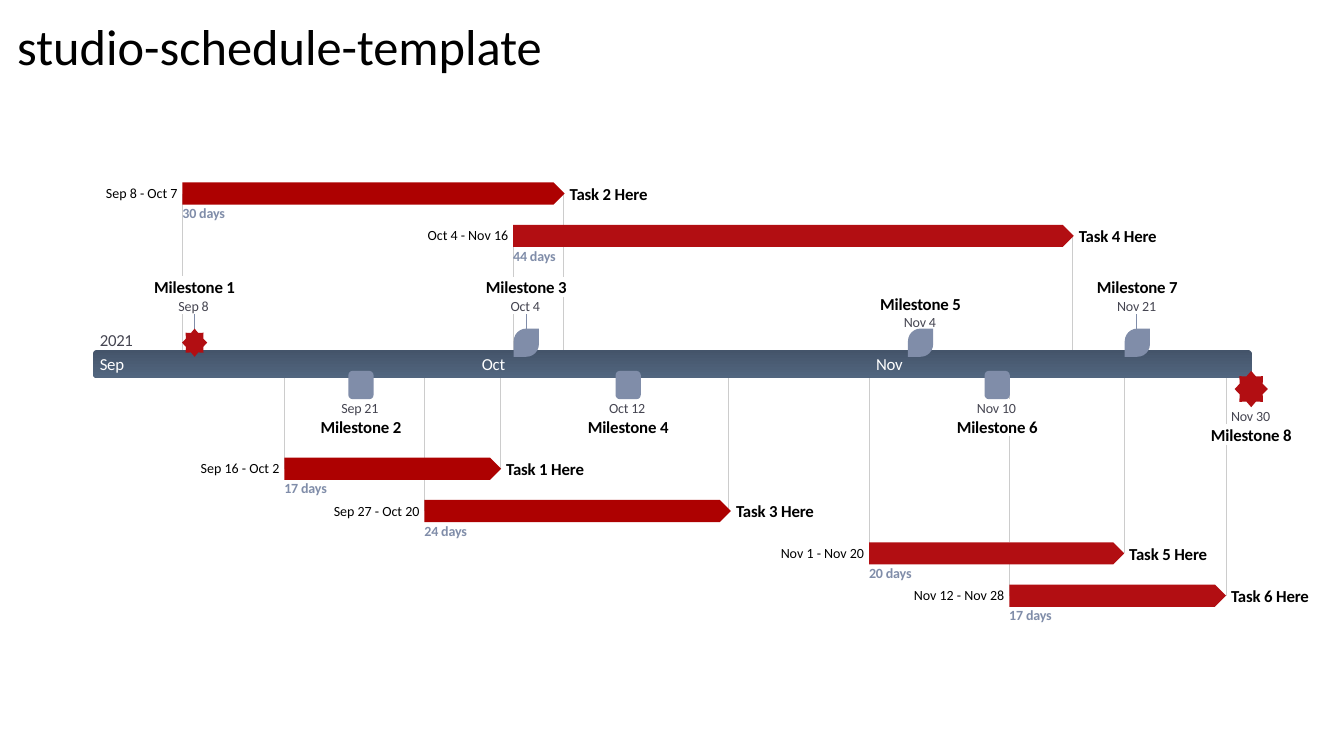
from pptx import Presentation
from pptx.dml.color import RGBColor
from pptx.enum.shapes import MSO_CONNECTOR, MSO_SHAPE
from pptx.enum.text import MSO_ANCHOR, MSO_AUTO_SIZE, PP_ALIGN
from pptx.util import Inches, Pt
from lxml import etree

BLACK, WHITE, GREY, SLATE = "000000", "FFFFFF", "454551", "808DA9"
RED, DARK, GUIDE = "B20E12", "AD0101", "CCCCCC"
BAND_TOP, BAND_END = 3.47, 3.75

# x, then the top and bottom of each visible piece
GUIDES = [
    (12.16, [(4.41, 5.91), (BAND_END, 4.21)]),
    (10.01, [(5.6, 5.91), (4.33, 5.38), (BAND_END, 3.96)]),
    (11.15, [(BAND_END, 5.49)]),
    (8.62, [(BAND_END, 5.49)]),
    (7.23, [(BAND_END, 5.07)]),
    (4.21, [(4.76, 5.07), (BAND_END, 4.54)]),
    (4.96, [(BAND_END, 4.65)]),
    (2.82, [(BAND_END, 4.65)]),
    (10.64, [(2.34, BAND_TOP)]),
    (5.09, [(3.12, BAND_TOP), (2.34, 2.75)]),
    (5.59, [(2.95, BAND_TOP), (2.45, 2.75), (1.92, 2.23)]),
    (1.81, [(3.12, BAND_TOP), (1.92, 2.74)]),
]
MONTHS = [("Sep", 0.99), ("Oct", 4.78), ("Nov", 8.69)]

# name, dates, width of dates, days, left, width, colour
UPPER = [
    ("Task 2 Here", "Sep 8 - Oct 7", 0.72, "30 days", 1.81, 3.79, DARK),
    ("Task 4 Here", "Oct 4 - Nov 16", 0.81, "44 days", 5.09, 5.56, RED),
]
LOWER = [
    ("Task 1 Here", "Sep 16 - Oct 2", 0.79, "17 days", 2.82, 2.15, DARK),
    ("Task 3 Here", "Sep 27 - Oct 20", 0.86, "24 days", 4.21, 3.04, DARK),
    ("Task 5 Here", "Nov 1 - Nov 20", 0.83, "20 days", 8.62, 2.53, RED),
    ("Task 6 Here", "Nov 12 - Nov 28", 0.9, "17 days", 10.01, 2.15, RED),
]

STAR, LEAF, BLOCK = (MSO_SHAPE.STAR_8_POINT,
                     MSO_SHAPE.ROUND_2_DIAG_RECTANGLE,
                     MSO_SHAPE.ROUNDED_RECTANGLE)
# name, date, width of date, centre, top of name, top of date, marker
STONES = [
    ("Milestone 1", "Sep 8", 0.32, 1.93, 2.75, 2.95, STAR),
    ("Milestone 3", "Oct 4", 0.31, 5.22, 2.75, 2.95, LEAF),
    ("Milestone 5", "Nov 4", 0.33, 9.13, 2.91, 3.11, LEAF),
    ("Milestone 7", "Nov 21", 0.4, 11.28, 2.75, 2.95, LEAF),
    ("Milestone 2", "Sep 21", 0.39, 3.58, 4.13, 3.96, BLOCK),
    ("Milestone 4", "Oct 12", 0.38, 6.23, 4.13, 3.96, BLOCK),
    ("Milestone 6", "Nov 10", 0.4, 9.89, 4.13, 3.96, BLOCK),
    ("Milestone 8", "Nov 30", 0.4, 12.41, 4.21, 4.04, STAR),
]


def rgb(code):
    return RGBColor.from_string(code)


class Chart:
    """Draws schedule parts on one slide in one style."""
    font = "Calibri"

    def __init__(self, slide):
        self.slide = slide
        self.shapes = slide.shapes

    def style(self, para, size, color, bold=False, align=PP_ALIGN.LEFT):
        para.alignment = align
        font = para.font
        font.name, font.size, font.bold = self.font, Pt(size), bold
        font.color.rgb = rgb(color)

    def title(self, text, x, y, w, h):
        box = self.shapes.title
        box.left, box.top, box.width, box.height = map(Inches, (x, y, w, h))
        frame = box.text_frame
        frame.text = text
        frame.auto_size = MSO_AUTO_SIZE.NONE
        frame.vertical_anchor = MSO_ANCHOR.MIDDLE
        self.style(frame.paragraphs[0], 36, BLACK)

    def text(self, text, x, y, w, h, size, color, bold=False,
             align=PP_ALIGN.LEFT, gap=0):
        """Add a one-line label; gap is letter spacing in 1/100 pt."""
        box = self.shapes.add_textbox(*map(Inches, (x, y, w, h)))
        frame = box.text_frame
        frame.word_wrap = False
        frame.vertical_anchor = MSO_ANCHOR.MIDDLE
        frame.margin_left = frame.margin_right = 0
        frame.margin_top = frame.margin_bottom = 0
        para = frame.paragraphs[0]
        run = para.add_run()
        run.text = text
        if gap:
            run._r.get_or_add_rPr().set("spc", str(gap))
        self.style(para, size, color, bold, align)

    def shape(self, kind, x, y, w, h, color):
        item = self.shapes.add_shape(kind, *map(Inches, (x, y, w, h)))
        item.shadow.inherit = False
        item.line.fill.background()
        item.fill.solid()
        item.fill.fore_color.rgb = rgb(color)
        return item

    def band(self, x, y, w, h, colors):
        fill = self.shape(BLOCK, x, y, w, h, colors[0]).fill
        fill.gradient()
        fill.gradient_angle = 270
        for place, (stop, color) in enumerate(zip(fill.gradient_stops, colors)):
            stop.position = place
            stop.color.rgb = rgb(color)

    def line(self, x, top, end, color):
        line = self.shapes.add_connector(
            MSO_CONNECTOR.STRAIGHT, *map(Inches, (x, top, x, end)))
        line.line.width = Pt(0.75)
        line.line.color.rgb = rgb(color)
        props = line._element.spPr
        etree.SubElement(props, props.tag.split("}")[0].replace(
            "presentationml", "drawingml") + "}effectLst")

    def task(self, top, name, dates, wide, days, x, w, color):
        self.shape(MSO_SHAPE.PENTAGON, x, top, w, 0.22, color)
        self.text(dates, x - 0.05 - wide, top + 0.02, wide, 0.17, 10, BLACK,
                  align=PP_ALIGN.RIGHT)
        self.text(name, x + w + 0.05, top + 0.01, 0.79, 0.2, 12, BLACK,
                  bold=True, gap=-10)
        self.text(days, x, top + 0.22, 0.44, 0.17, 10, SLATE,
                  bold=True, gap=-10)

    def stone(self, name, date, wide, mid, high, low, kind):
        """Add a milestone: its marker, name and date."""
        above = high < BAND_TOP
        w, h = (0.25, 0.28) if above or kind == BLOCK else (0.33, 0.36)
        mark = self.shape(kind, mid - w / 2, 3.26 if above else 3.68, w, h,
                          RED if kind == STAR else SLATE)
        if kind == LEAF:
            mark.adjustments[0] = 1
            mark.adjustments[1] = 0
        self.text(name, mid - 0.41, high, 0.82, 0.2, 12, BLACK, bold=True,
                  align=PP_ALIGN.CENTER, gap=-10)
        self.text(date, mid - wide / 2, low, wide, 0.17, 10, GREY, gap=-10)


def main():
    deck = Presentation()
    deck.slide_width, deck.slide_height = Inches(13.33), Inches(7.5)
    chart = Chart(deck.slides.add_slide(deck.slide_layouts[5]))
    chart.title("studio-schedule-template", 0.07, 0.1, 8.09, 0.71)

    for x, spans in GUIDES:
        for top, end in spans:
            chart.line(x, top, end, GUIDE)
    for x in (11.27, 5.22, 1.93):
        chart.line(x, 3.12, 3.4, SLATE)

    chart.band(0.92, BAND_TOP, 11.5, 0.28, ("44546A", "52667F"))
    for month, x in MONTHS:
        chart.text(month, x, 3.51, 0.3, 0.19, 12, WHITE, gap=-20)
    chart.text("2021", 0.99, 3.27, 0.35, 0.2, 12, GREY, gap=-20)

    for start, tasks in ((1.81, UPPER), (4.54, LOWER)):
        for row, task in enumerate(tasks):
            chart.task(start + 0.42 * row, *task)
    for stone in STONES:
        chart.stone(*stone)
    deck.save("out.pptx")


if __name__ == "__main__":
    main()
